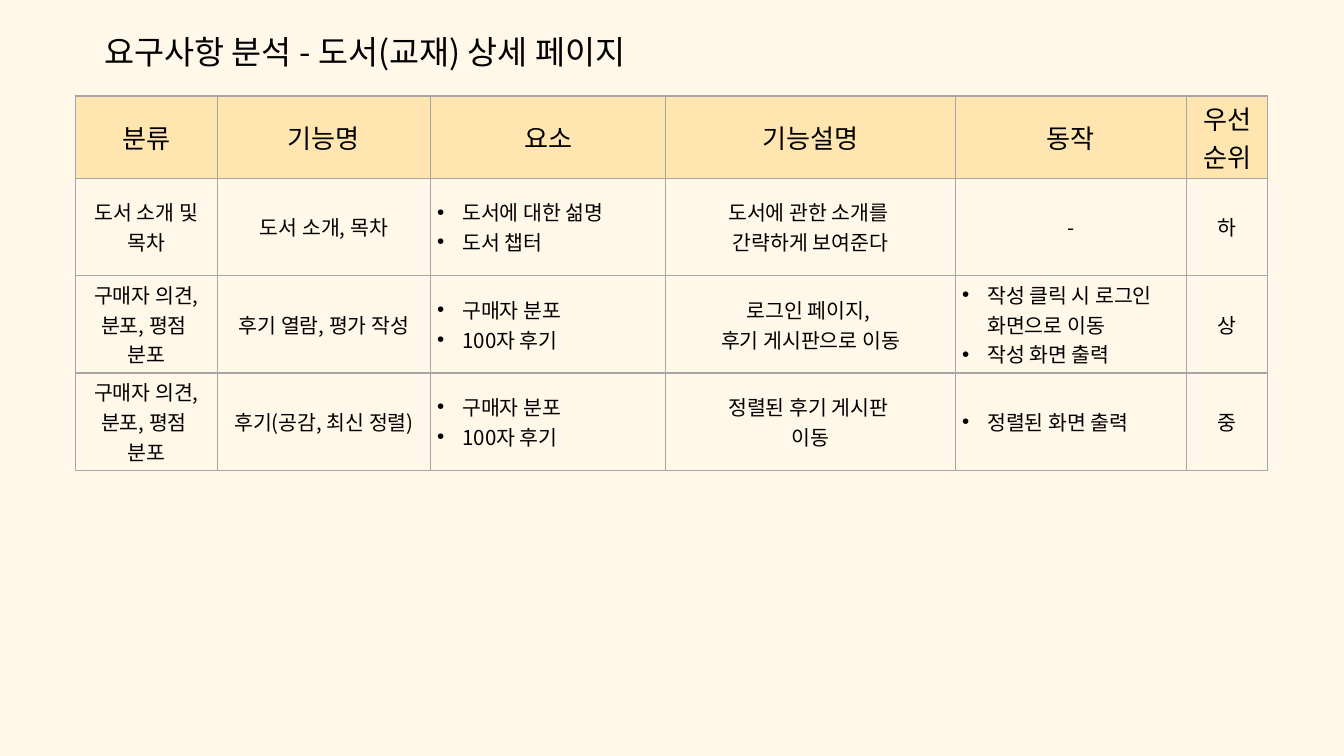
from lxml.etree import SubElement
from pptx import Presentation
from pptx.dml.color import RGBColor
from pptx.enum.text import MSO_ANCHOR, PP_ALIGN
from pptx.oxml.ns import qn
from pptx.util import Cm, Pt

FONT = "Noto Sans CJK KR"
HUES = {"back": "FFF8E9", "head": "FFE6B1", "line": "A6A6A6", "text": "000000"}
COLS = [5.38, 8.05, 8.89, 10.95, 8.74, 3.07]
ROWS = [2.82, 3.68, 3.68, 3.68]
MARK = "• "
VIEWS = ["구매자 의견,", "분포, 평점 ", "분포"]
ITEMS = [MARK + "구매자 분포", MARK + "100자 후기"]
CELLS = [
    [["분류"], ["기능명"], ["요소"], ["기능설명"], ["동작"], ["우선순위"]],
    [
        ["도서 소개 및", "목차"],
        ["도서 소개, 목차"],
        [MARK + "도서에 대한 섦명", MARK + "도서 챕터"],
        ["도서에 관한 소개를 \n간략하게 보여준다"],
        ["-"],
        ["하"],
    ],
    [
        VIEWS,
        ["후기 열람, 평가 작성"],
        ITEMS,
        ["로그인 페이지, ", "후기 게시판으로 이동"],
        [MARK + "작성 클릭 시 로그인 \n화면으로 이동", MARK + "작성 화면 출력"],
        ["상"],
    ],
    [
        VIEWS,
        ["후기(공감, 최신 정렬)"],
        ITEMS,
        ["정렬된 후기 게시판 \n이동"],
        [MARK + "정렬된 화면 출력"],
        ["중"],
    ],
]


class Deck:
    """Holds the style and the current slide."""

    def __init__(self, wide, high):
        self.prs = Presentation()
        self.prs.slide_width, self.prs.slide_height = Cm(wide), Cm(high)
        self.slide = self.prs.slides.add_slide(self.prs.slide_layouts[6])
        self.paint(self.slide.background.fill, "back")

    def paint(self, fill, hue):
        fill.solid()
        fill.fore_color.rgb = RGBColor.from_string(HUES[hue])

    def piece(self, para, text, size):
        run = para.add_run()
        run.text = text
        font = run.font
        font.size, font.name, font.bold = Pt(size), FONT, False
        font.color.rgb = RGBColor.from_string(HUES["text"])
        SubElement(run._r.get_or_add_rPr(), qn("a:ea"), typeface=FONT)

    def bullet(self, para):
        props = para._p.get_or_add_pPr()
        props.set("marL", str(Cm(0.95)))
        props.set("indent", str(Cm(-0.95)))
        SubElement(props, qn("a:buFont"), typeface="Arial")
        SubElement(props, qn("a:buChar"), char=MARK.strip())

    def words(self, frame, lines, size):
        for i, line in enumerate(lines):
            para = frame.add_paragraph() if i else frame.paragraphs[0]
            if line.startswith(MARK):
                para.alignment = PP_ALIGN.LEFT
                self.bullet(para)
            else:
                para.alignment = PP_ALIGN.CENTER
            for j, part in enumerate(line.removeprefix(MARK).split("\n")):
                if j:
                    para.add_line_break()
                self.piece(para, part, size)

    def title(self, text, left, top, wide, high):
        box = self.slide.shapes.add_textbox(Cm(left), Cm(top), Cm(wide), Cm(high))
        frame = box.text_frame
        frame.word_wrap = True
        frame.margin_left = frame.margin_right = 0
        frame.margin_top = frame.margin_bottom = 0
        self.words(frame, [text], 35)
        frame.paragraphs[0].line_spacing = Pt(49)

    def border(self, cell):
        props = cell._tc.get_or_add_tcPr()
        for side in "LRTB":
            line = SubElement(props, qn("a:ln" + side), w=str(Pt(1.5)))
            fill = SubElement(line, qn("a:solidFill"))
            SubElement(fill, qn("a:srgbClr"), val=HUES["line"])

    def table(self, cells, left, top):
        table = self.slide.shapes.add_table(
            len(ROWS), len(COLS), Cm(left), Cm(top), Cm(sum(COLS)), Cm(sum(ROWS))
        ).table
        table.first_row = table.horz_banding = False
        for col, wide in zip(table.columns, COLS):
            col.width = Cm(wide)
        for i, (row, high) in enumerate(zip(table.rows, ROWS)):
            row.height = Cm(high)
            for cell, lines in zip(row.cells, cells[i]):
                cell.vertical_anchor = MSO_ANCHOR.MIDDLE
                self.border(cell)
                if i:
                    cell.fill.background()
                else:
                    self.paint(cell.fill, "head")
                self.words(cell.text_frame, lines, 22 if i else 28)


def main():
    deck = Deck(50.8, 28.58)
    deck.table(CELLS, 2.84, 3.63)
    deck.title("요구사항 분석 - 도서(교재) 상세 페이지", -8.48, 0.97, 44.55, 1.65)
    deck.prs.save("out.pptx")


if __name__ == "__main__":
    main()
